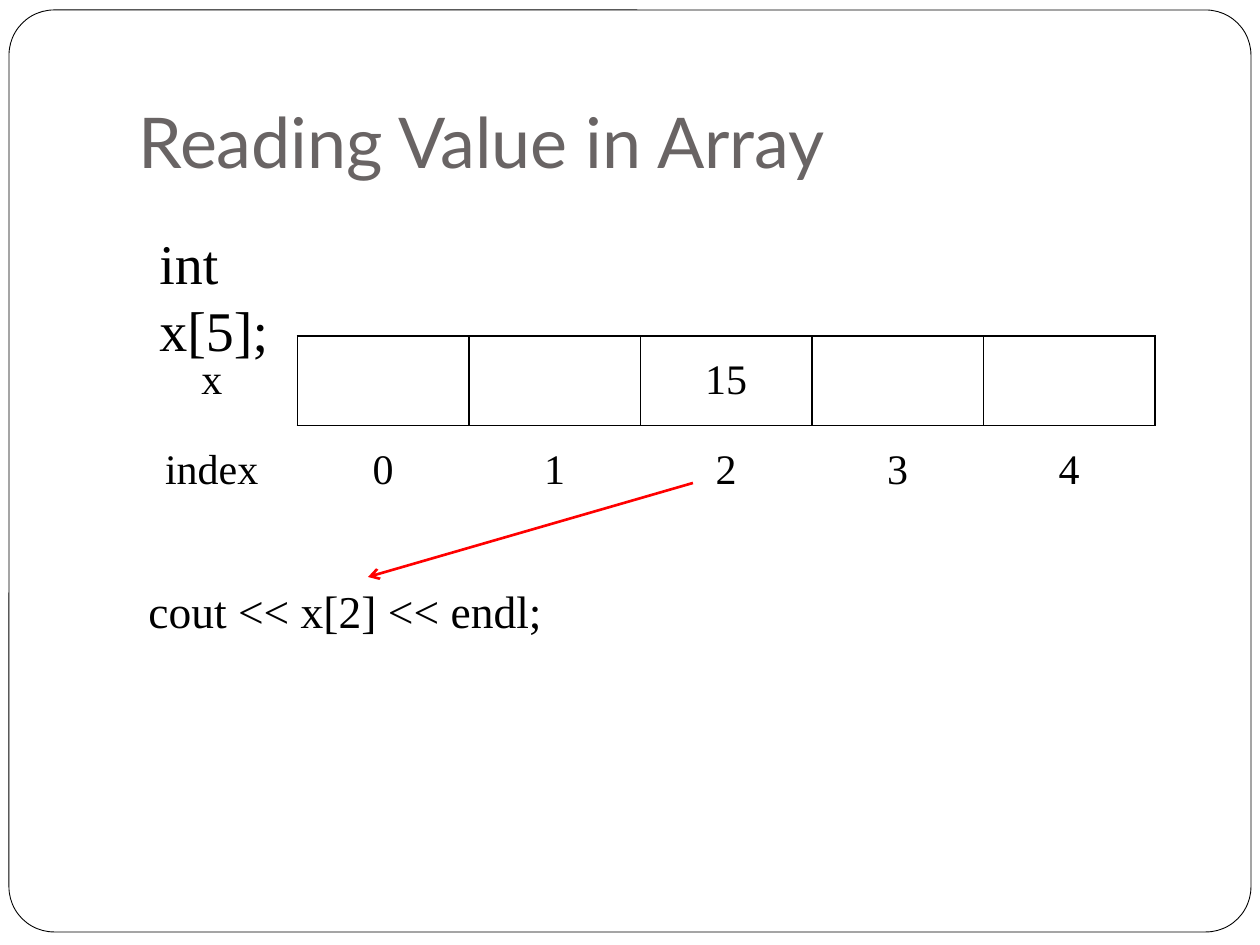
from lxml import etree
from pptx import Presentation
from pptx.dml.color import RGBColor
from pptx.enum.shapes import MSO_CONNECTOR, MSO_SHAPE
from pptx.enum.text import MSO_ANCHOR, PP_ALIGN
from pptx.oxml.ns import qn
from pptx.util import Emu, Pt

PX = 914400 // 126
LEFT, CENTER = PP_ALIGN.LEFT, PP_ALIGN.CENTER
TOP, MIDDLE, BOTTOM = MSO_ANCHOR.TOP, MSO_ANCHOR.MIDDLE, MSO_ANCHOR.BOTTOM
BLACK, WHITE, GREY, RED = "000000", "FFFFFF", "696464", "FF0000"
SERIF, SANS = "Times New Roman", "Lato"
ROWS = [["x", "", "", "15", "", ""],
        ["index", "0", "1", "2", "3", "4"]]


def px(*lengths):
    return [Emu(round(n * PX)) for n in lengths]


def color(hex_value):
    return RGBColor.from_string(hex_value)


def format_text(tf, text, size, font=SERIF, fill=BLACK, align=LEFT):
    tf.text = text
    p = tf.paragraphs[0]
    p.alignment = align
    p.font.size = Pt(size)
    for r in p.runs:
        r.font.size = Pt(size)
        r.font.name = font
        r.font.color.rgb = color(fill)
    return p


def add_frame(slide, box):
    s = slide.shapes.add_shape(MSO_SHAPE.ROUNDED_RECTANGLE, *px(*box))
    s.adjustments[0] = 0.049
    s.shadow.inherit = False
    s.fill.solid()
    s.fill.fore_color.rgb = color(WHITE)
    s.line.color.rgb = color(BLACK)
    s.line.width = Pt(0.5)
    slide.shapes._spTree.insert(2, s._element)  # behind the title


def set_title(slide, text, box):
    s = slide.shapes.title
    s.left, s.top, s.width, s.height = px(*box)
    tf = s.text_frame
    tf.vertical_anchor = BOTTOM
    tf.margin_bottom = px(12.6)[0]
    format_text(tf, text, 40, SANS, GREY)


def add_text(slide, text, box, size, space_before=0):
    tf = slide.shapes.add_textbox(*px(*box)).text_frame
    tf.word_wrap = True
    tf.vertical_anchor = TOP
    format_text(tf, text, size).space_before = Pt(space_before)


def set_borders(cell, sides):
    tc_pr = cell._tc.get_or_add_tcPr()
    for i, side in enumerate("LRTB"):
        ln = etree.Element(qn("a:ln" + side), w=str(Pt(1)))
        if side in sides:
            fill = etree.SubElement(ln, qn("a:solidFill"))
            etree.SubElement(fill, qn("a:srgbClr"), val=BLACK)
        else:
            etree.SubElement(ln, qn("a:noFill"))
        tc_pr.insert(i, ln)


def add_array_table(slide, rows, box):
    table = slide.shapes.add_table(len(rows), len(rows[0]), *px(*box)).table
    table.first_row = table.horz_banding = False
    for i, row in enumerate(rows):
        for j, text in enumerate(row):
            cell = table.cell(i, j)
            cell.fill.background()
            cell.vertical_anchor = MIDDLE
            format_text(cell.text_frame, text, 24, align=CENTER)
            # Only the value cells are boxed
            if j == 0:
                sides = "R" if i == 0 else ""
            else:
                sides = "LRTB" if i == 0 else "T"
            set_borders(cell, sides)


def add_arrow(slide, start, end):
    s = slide.shapes.add_connector(MSO_CONNECTOR.STRAIGHT, *px(*start, *end))
    s.line.color.rgb = color(RED)
    s.line.width = Pt(1.5)
    etree.SubElement(s.line._get_or_add_ln(), qn("a:tailEnd"), type="arrow")
    etree.SubElement(s._element.spPr, qn("a:effectLst"))


def main():
    prs = Presentation()
    prs.slide_width, prs.slide_height = px(1260, 945)
    slide = prs.slides.add_slide(prs.slide_layouts[5])

    # Frame and title
    add_frame(slide, (9, 10, 1242, 922))
    set_title(slide, "Reading Value in Array", (126, 38, 1071, 157))

    # Array with its indexes
    add_array_table(slide, ROWS, (126, 336, 1029, 179))

    # Declaration and output statement
    add_text(slide, "int x[5];", (147, 222, 192, 81), 32)
    add_text(slide, "cout << x[2] << endl;", (136, 577, 1071, 94), 26, 5.8)
    add_arrow(slide, (693, 483), (368, 577))

    prs.save("out.pptx")


main()
